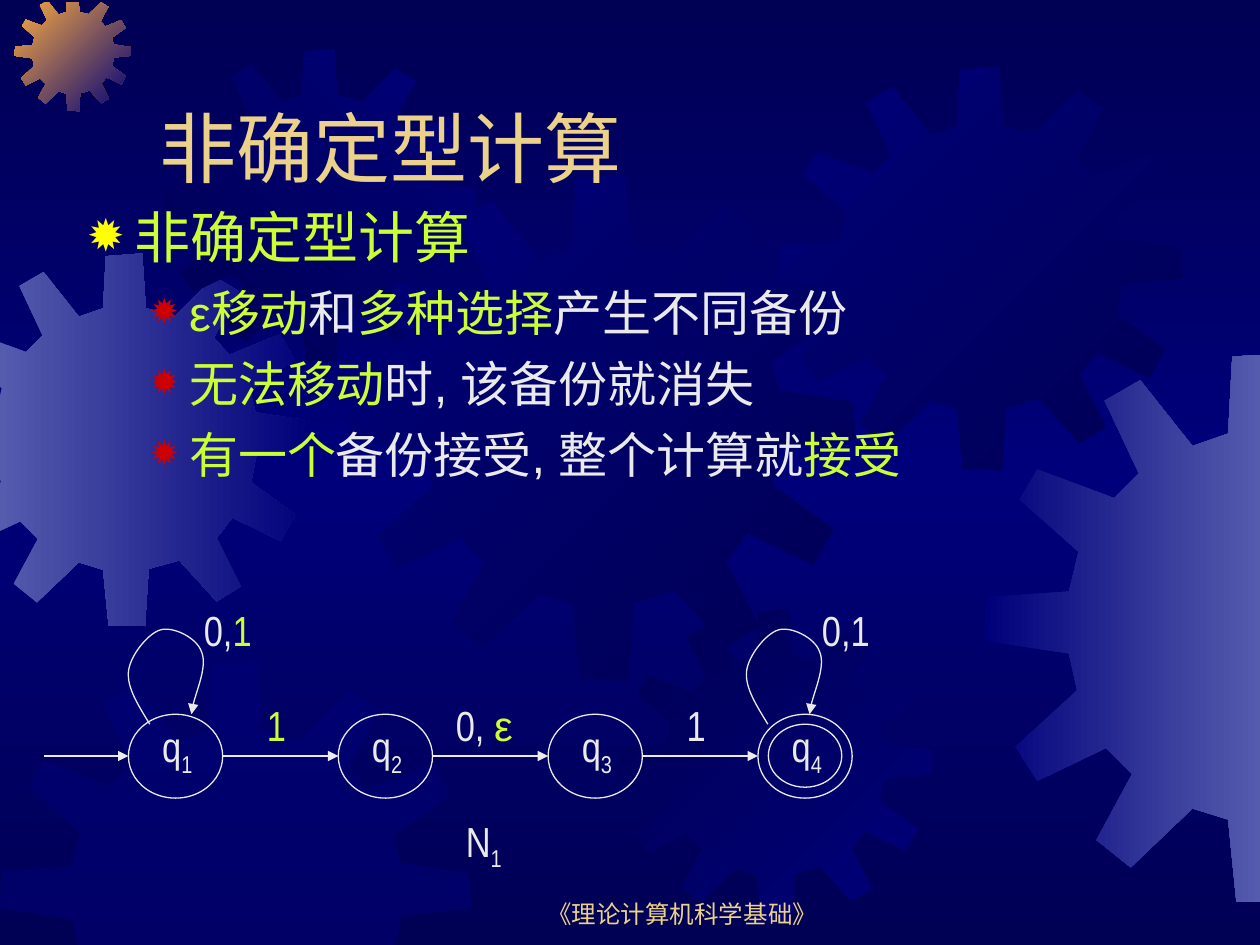
from copy import deepcopy
from itertools import pairwise

from lxml.etree import SubElement
from pptx import Presentation
from pptx.dml.color import RGBColor
from pptx.enum.shapes import MSO_CONNECTOR, MSO_SHAPE
from pptx.enum.text import MSO_ANCHOR, MSO_AUTO_SIZE, PP_ALIGN
from pptx.oxml.ns import qn
from pptx.util import Cm, Pt

NAVY, BLUE, STEEL, ORANGE = "000054", "00007A", "555BAD", "FCAB40"
GOLD, LIME, PALE, YELLOW, RED = "EBD189", "CCFF33", "EAEAEA", "FFFF00", "CC0000"

GEAR_SIZE = 4.01
GEAR = [
    (2.55, 0.67), (2.23, 0.59), (2.19, 0), (1.8, 0.03), (1.77, 0.59), (1.51, 0.68),
    (1.13, 0.2), (0.87, 0.35), (1.12, 0.88), (0.94, 1.06), (0.38, 0.85), (0.25, 1.07),
    (0.68, 1.45), (0.61, 1.74), (0.01, 1.78), (0, 2.1), (0.61, 2.19), (0.67, 2.46),
    (0.22, 2.87), (0.38, 3.12), (0.88, 2.88), (1.07, 3.07), (0.81, 3.55), (1.06, 3.75),
    (1.51, 3.32), (1.77, 3.4), (1.83, 4), (2.22, 4.01), (2.26, 3.39), (2.59, 3.3),
    (2.99, 3.74), (3.25, 3.58), (2.99, 3.06), (3.16, 2.84), (3.68, 3.09), (3.84, 2.81),
    (3.36, 2.46), (3.42, 2.16), (4.01, 2.1), (4, 1.8), (3.41, 1.71), (3.35, 1.48),
    (3.83, 1.14), (3.67, 0.87), (3.13, 1.09), (2.96, 0.91), (3.23, 0.41), (2.97, 0.25),
]
# left, top, size, colours, angle
GEARS = [
    (-1.24, 5.11, 7.52, (STEEL, BLUE), 0),
    (0.3, -0.1, 2.34, (ORANGE, BLUE), 45),
    (3.3, 0.99, 6.3, (NAVY, BLUE), 315),
    (7.04, 3.53, 10.19, (BLUE, NAVY), 45),
    (0, 13.34, 9.5, (BLUE,), 0),
    (12.47, 12.29, 6.3, (NAVY, BLUE), 45),
    (15.7, 1.35, 8.13, (BLUE, NAVY), 45),
    (19.86, 7.11, 11.1, (BLUE, STEEL), 0),
]
# Start point, then three points for each curve; x is counted from the state
LOOP = [
    (0.43, 14.6), (0.2, 14.22), (-0.03, 13.87), (0, 13.54), (0.03, 13.23), (0.38, 12.78),
    (0.64, 12.7), (0.89, 12.62), (1.37, 12.85), (1.47, 13.13), (1.6, 13.41), (1.27, 14.17),
    (1.27, 14.4),
]


def rgb(value):
    return RGBColor.from_string(value)


def paint_gradient(fill, owner, colors, angle):
    """Evenly spaced stops; the angle runs clockwise."""
    fill.gradient()
    fill.gradient_angle = (360 - angle) % 360
    stop_list = next(owner.iter(qn("a:gsLst")))
    for _ in colors[2:]:
        stop_list.append(deepcopy(stop_list[0]))
    for index, (stop, color) in enumerate(zip(fill.gradient_stops, colors)):
        stop.color.rgb = rgb(color)
        stop.position = index / (len(colors) - 1)


def clip(points, axis, limit, sign):
    """Keep the part of a polygon where sign * coordinate >= sign * limit."""
    kept = []
    for start, end in pairwise(points + points[:1]):
        before, after = (sign * (point[axis] - limit) for point in (start, end))
        if before >= 0:
            kept.append(start)
        if before * after < 0:
            share = before / (before - after)
            kept.append(tuple(a + share * (b - a) for a, b in zip(start, end)))
    return kept


def write(para, text, size=24, color=PALE, font="Arial Narrow", baseline=0):
    span = para.add_run()
    span.text = text
    span.font.size = Pt(size)
    span.font.name = font
    span.font.color.rgb = rgb(color)
    if baseline:
        span.font._element.set("baseline", str(baseline * 1000))


def add_bullet(para, color, percent, left, hanging):
    properties = para._p.get_or_add_pPr()
    properties.set("marL", str(Cm(left)))
    properties.set("indent", str(-Cm(hanging)))
    SubElement(SubElement(properties, qn("a:buClr")), qn("a:srgbClr"), val=color)
    SubElement(properties, qn("a:buSzPct"), val=str(percent * 1000))
    SubElement(properties, qn("a:buChar"), char="✹")


class Board:
    """The current page with the line style of the automaton."""

    def __init__(self, deck):
        self.master = deck.slide_master
        self.page = deck.slides.add_slide(deck.slide_layouts[1])
        paint_gradient(self.page.background.fill, self.page.element, (NAVY, BLUE, NAVY), 90)

    def outline(self, shape, arrow=False):
        shape.line.color.rgb = rgb(PALE)
        shape.line.width = Pt(0.75)
        if arrow:
            SubElement(shape.line._get_or_add_ln(), qn("a:tailEnd"), type="triangle")

    def freeform(self, points, close):
        corners = [(Cm(x), Cm(y)) for x, y in points]
        builder = self.page.shapes.build_freeform(*corners[0], scale=1.0)
        builder.add_line_segments(corners[1:], close=close)
        shape = builder.convert_to_shape()
        shape.shadow.inherit = False
        return shape

    def gear(self, left, top, size, colors, angle):
        scale = size / GEAR_SIZE
        points = [(left + x * scale, top + y * scale) for x, y in GEAR]
        for edge in ((0, 0, 1), (1, 0.05, 1), (0, 25.4, -1), (1, 19.05, -1)):
            points = clip(points, *edge)
        shape = self.freeform(points, True)
        shape.line.fill.background()
        if len(colors) > 1:
            paint_gradient(shape.fill, shape._element, colors, angle)
        else:
            shape.fill.solid()
            shape.fill.fore_color.rgb = rgb(colors[0])
            color = shape._element.spPr.find(".//" + qn("a:srgbClr"))
            SubElement(color, qn("a:alpha"), val="50000")
        self.master.shapes.element.append(shape._element)

    def loop(self, left):
        shape = self.freeform([(left + x, y) for x, y in LOOP], False)
        shape.fill.background()
        self.outline(shape, arrow=True)
        segments = list(shape._element.iter(qn("a:lnTo")))
        route = segments[0].getparent()
        for first in range(0, len(segments), 3):
            curve = SubElement(route, qn("a:cubicBezTo"))
            for segment in segments[first:first + 3]:
                curve.append(segment[0])
                route.remove(segment)

    def ellipse(self, left, top, width, height):
        shape = self.page.shapes.add_shape(
            MSO_SHAPE.OVAL, Cm(left), Cm(top), Cm(width), Cm(height))
        shape.shadow.inherit = False
        shape.fill.background()
        self.outline(shape)

    def arrow(self, start, end, level):
        line = self.page.shapes.add_connector(
            MSO_CONNECTOR.STRAIGHT, Cm(start), Cm(level), Cm(end), Cm(level))
        self.outline(line, arrow=True)
        SubElement(line._element.spPr, qn("a:effectLst"))

    def label(self, left, top, width, height, *spans):
        box = self.page.shapes.add_textbox(Cm(left), Cm(top), Cm(width), Cm(height))
        box.text_frame.word_wrap = True
        for text, style in spans:
            write(box.text_frame.paragraphs[0], text, **style)
        return box

    def placeholder(self, index, left, top, width, height):
        box = self.page.placeholders[index]
        box.left, box.top, box.width, box.height = map(Cm, (left, top, width, height))
        box.text_frame.auto_size = MSO_AUTO_SIZE.NONE
        return box.text_frame

    def title(self, text):
        frame = self.placeholder(0, 2.97, 0.84, 21.59, 3.18)
        frame.vertical_anchor = MSO_ANCHOR.BOTTOM
        frame.paragraphs[0].alignment = PP_ALIGN.LEFT
        write(frame.paragraphs[0], text, 44, GOLD, "Arial")

    def body(self, heading, items):
        frame = self.placeholder(1, 1.5, 3.96, 18.19, 6.55)
        para = frame.paragraphs[0]
        para.space_before = Pt(0)
        add_bullet(para, YELLOW, 80, 0.95, 0.95)
        write(para, heading, 32, LIME, "Arial")
        for item in items:
            para = frame.add_paragraph()
            para.level = 1
            para.space_before = Pt(7)
            add_bullet(para, RED, 70, 2.06, 0.79)
            for text, color in item:
                write(para, text, 28, color, "Arial")


def main():
    deck = Presentation()
    deck.slide_width, deck.slide_height = Cm(25.4), Cm(19.05)
    board = Board(deck)
    for gear in GEARS:
        board.gear(*gear)

    footer = board.label(9.73, 17.58, 8.05, 1.27,
                         ("《理论计算机科学基础》", {"size": 14, "color": GOLD, "font": "Arial"}))
    footer.text_frame.vertical_anchor = MSO_ANCHOR.BOTTOM
    footer.text_frame.paragraphs[0].alignment = PP_ALIGN.CENTER
    board.title("非确定型计算")
    board.body("非确定型计算", [
        [("ε移动", LIME), ("和", PALE), ("多种选择", LIME), ("产生不同备份", PALE)],
        [("无法移动", LIME), ("时, 该备份就消失", PALE)],
        [("有一个", LIME), ("备份接受, 整个计算就", PALE), ("接受", LIME)],
    ])

    plain, lime, subscript = {}, {"color": LIME}, {"baseline": -25}
    states = [2.59 + 4.23 * index for index in range(4)]
    width, level = 1.9, 15.24
    for number, left in enumerate(states, 1):
        board.ellipse(left, 14.4, width, 1.69)
        board.label(left + 0.43, 14.4, 1.27, 1.42, ("q", plain), (str(number), subscript))
    board.ellipse(states[-1] + 0.21, 14.6, 1.48, 1.27)
    for start, end in zip([0.89] + [left + width for left in states], states):
        board.arrow(start, end, level)

    for left, spans in ((states[0], [("0,", plain), ("1", lime)]),
                        (states[-1] - 0.23, [("0,1", plain)])):
        board.loop(left)
        board.label(left + 1.27, 12.07, 1.7, 1.27, *spans)
    board.label(5.13, 13.97, 1.27, 1.27, ("1", lime))
    board.label(8.94, 13.97, 1.7, 1.27, ("0, ", plain), ("ε", {"color": LIME, "font": "Arial"}))
    board.label(13.59, 13.97, 1.27, 1.27, ("1", plain))
    board.label(9.14, 16.31, 1.7, 1.42, ("N", plain), ("1", subscript))
    deck.save("out.pptx")


if __name__ == "__main__":
    main()
